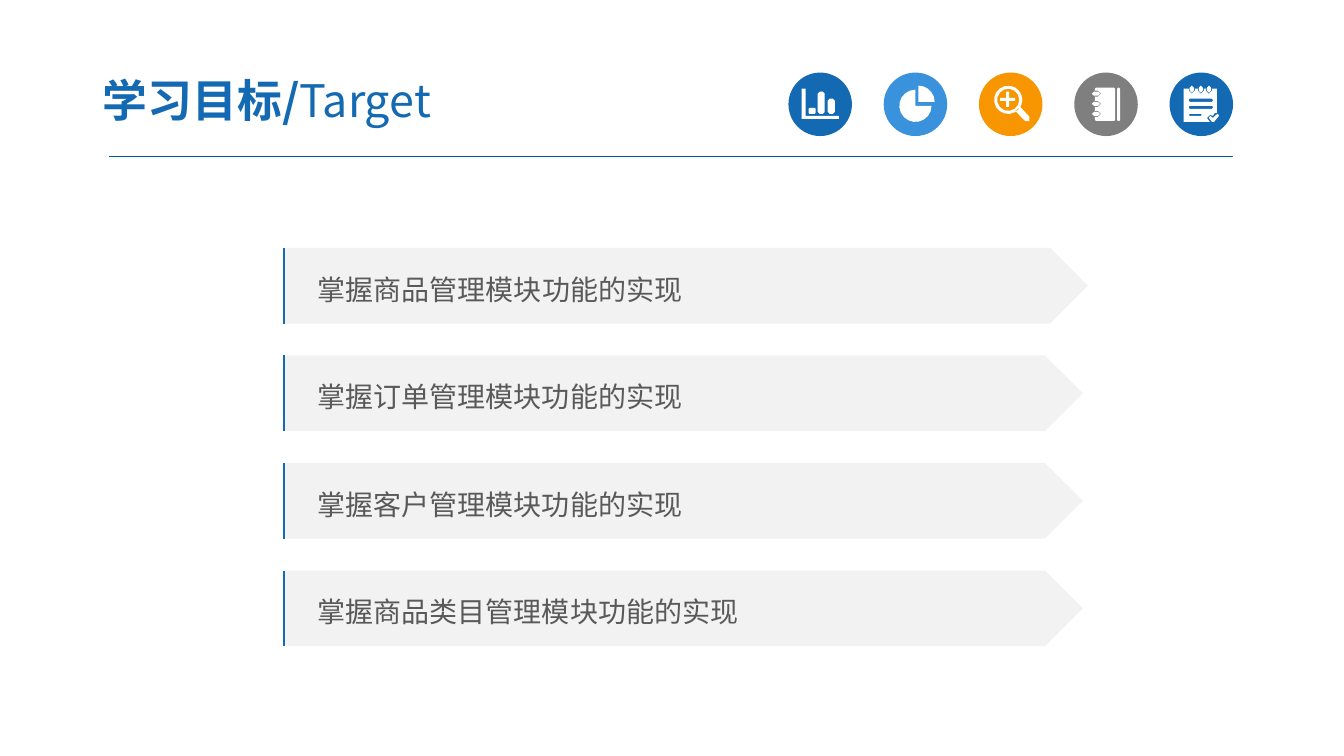
from math import cos, radians, sin

from lxml import etree
from pptx import Presentation
from pptx.dml.color import RGBColor
from pptx.enum.shapes import MSO_CONNECTOR as Connector, MSO_SHAPE as Shape
from pptx.enum.text import MSO_ANCHOR as Anchor, PP_ALIGN as Align
from pptx.oxml.ns import qn
from pptx.util import Inches, Pt

COLORS = {
    "blue": "1369B2",
    "sky": "3992DB",
    "orange": "F79600",
    "gray": "7F7F7F",
    "rule": "005B9E",
    "plate": "F2F2F2",
    "text": "595959",
    "white": "FFFFFF",
}
FONT = "Noto Sans CJK SC"


def arc(x, y, radius, start, end):
    """Return points along a circle; degrees run clockwise from the right."""
    steps = max(1, round(abs(end - start) * radius / 3))
    angles = [radians(start + (end - start) * i / steps) for i in range(steps + 1)]
    return [(x + radius * cos(a), y + radius * sin(a)) for a in angles]


def rounded(left, top, width, height, radius):
    """Return the outline of a rectangle with softened corners."""
    right, bottom = left + width - radius, top + height - radius
    left, top = left + radius, top + radius
    return (arc(left, top, radius, 180, 270) + arc(right, top, radius, 270, 360)
            + arc(right, bottom, radius, 0, 90) + arc(left, bottom, radius, 90, 180))


presentation = Presentation()
presentation.slide_width = Inches(13.33)
presentation.slide_height = Inches(7.5)
slide = presentation.slides.add_slide(presentation.slide_layouts[6])
shapes = slide.shapes

# Icon outlines: where two overlap, the inner one is a hole
bar_chart = [
    [(7.95, 0.88), (7.99, 0.88), (7.99, 1.15), (8.32, 1.15), (8.32, 1.18), (7.95, 1.18)],
    rounded(8.02, 1.07, 0.07, 0.06, 0.01),
    rounded(8.11, 0.91, 0.07, 0.22, 0.02),
    rounded(8.21, 0.98, 0.07, 0.15, 0.02),
]
pie_chart = [
    [(9.11, 1.01)] + arc(9.11, 1.01, 0.16, -90, 0),
    [(9.08, 1.05)] + arc(9.08, 1.05, 0.16, 0, 270),
]
magnifier = [
    arc(10, 0.99, 0.14, 0, 360),
    arc(10, 0.99, 0.11, 0, 360),
    [(9.92, 0.97), (9.98, 0.97), (9.98, 0.91), (10.01, 0.91), (10.01, 0.97), (10.07, 0.97),
     (10.07, 1), (10.01, 1), (10.01, 1.06), (9.98, 1.06), (9.98, 1), (9.92, 1)],
    [(10.07, 1.1)] + arc(10.19, 1.18, 0.03, 135, -45) + [(10.12, 1.06)],
]
notebook = [
    rounded(10.86, 0.87, 0.2, 0.33, 0.01),
    rounded(11.08, 0.87, 0.03, 0.33, 0.01),
]
for y in (0.93, 1.03, 1.13):
    notebook += [
        [(10.86, y - 0.03)] + arc(10.89, y, 0.03, -90, 90) + [(10.86, y + 0.03)],
        rounded(10.83, y - 0.02, 0.08, 0.04, 0.02),
    ]
checklist = [
    [(11.74, 0.88), (12.07, 0.88), (12.07, 1.12), (12.05, 1.12), (12.03, 1.15),
     (12, 1.14), (11.97, 1.17), (12, 1.21), (11.74, 1.21)],
    [(11.99, 1.17), (12, 1.15), (12.03, 1.17), (12.06, 1.14), (12.08, 1.13),
     (12.09, 1.15), (12.04, 1.21), (12.02, 1.21)],
    rounded(11.79, 0.98, 0.24, 0.03, 0.01),
    rounded(11.79, 1.05, 0.24, 0.03, 0.01),
    rounded(11.79, 1.13, 0.13, 0.02, 0.01),
]
for x in (11.82, 11.91, 11.99):
    checklist += [
        [(x + 0.03, 0.88)] + arc(x, 0.9, 0.03, 0, 180) + [(x - 0.03, 0.88)],
        rounded(x - 0.02, 0.85, 0.04, 0.07, 0.02),
    ]

icons = [(bar_chart, "blue"), (pie_chart, "sky"), (magnifier, "orange"),
         (notebook, "gray"), (checklist, "blue")]
filled = []
for index, (outlines, color) in enumerate(icons):
    disc = shapes.add_shape(Shape.OVAL, Inches(7.82 + 0.945 * index), Inches(0.72),
                            Inches(0.63), Inches(0.63))
    start_x, start_y = outlines[0][0]
    builder = shapes.build_freeform(Inches(start_x), Inches(start_y))
    for number, outline in enumerate(outlines):
        points = [(Inches(x), Inches(y)) for x, y in outline]
        if number > 0:
            builder.move_to(*points[0])
        builder.add_line_segments(points[1:], close=True)
    filled += [(disc, color), (builder.convert_to_shape(), "white")]

# Title
title = shapes.add_textbox(Inches(0.89), Inches(0.63), Inches(5.22), Inches(0.72))
title_format = {"word_wrap": True, "vertical_anchor": Anchor.MIDDLE,
                "margin_left": Inches(0.13), "margin_right": Inches(0.13),
                "margin_top": Inches(0.07), "margin_bottom": Inches(0.07)}
for name, value in title_format.items():
    setattr(title.text_frame, name, value)
heading = title.text_frame.paragraphs[0]
runs = [(heading, "学习目标/", "blue", {"size": Pt(32), "bold": True}),
        (heading, "Target", "blue", {"size": Pt(32), "bold": False})]

# Goals
lines = [(1.08, 1.55, 12.23, 1.55, "rule", 0.75)]
goals = ["掌握商品管理模块功能的实现", "掌握订单管理模块功能的实现",
         "掌握客户管理模块功能的实现", "掌握商品类目管理模块功能的实现"]
plate_format = {"word_wrap": True, "vertical_anchor": Anchor.MIDDLE,
                "margin_left": Inches(0.34)}
for index, goal in enumerate(goals):
    top = 2.46 + 3.2 / 3 * index
    width = 7.98 if index == 0 else 7.93
    plate = shapes.add_shape(Shape.PENTAGON, Inches(2.81), Inches(top),
                             Inches(width), Inches(0.75))
    for name, value in plate_format.items():
        setattr(plate.text_frame, name, value)
    paragraph = plate.text_frame.paragraphs[0]
    paragraph.alignment = Align.LEFT
    paragraph.line_spacing = 1.2
    filled.append((plate, "plate"))
    runs.append((paragraph, goal, "text", {"size": Pt(20), "bold": False}))
    lines.append((2.82, top, 2.82, top + 0.75, "blue", 1.5))

for shape, color in filled:
    shape.shadow.inherit = False
    shape.fill.solid()
    shape.fill.fore_color.rgb = RGBColor.from_string(COLORS[color])
    shape.line.fill.background()

for paragraph, text, color, font_format in runs:
    run = paragraph.add_run()
    run.text = text
    run.font.name = FONT
    run.font.color.rgb = RGBColor.from_string(COLORS[color])
    for name, value in font_format.items():
        setattr(run.font, name, value)
    etree.SubElement(run.font._element, qn("a:ea"), typeface=FONT)

for x1, y1, x2, y2, color, weight in lines:
    line = shapes.add_connector(Connector.STRAIGHT, Inches(x1), Inches(y1),
                                Inches(x2), Inches(y2))
    line.line.color.rgb = RGBColor.from_string(COLORS[color])
    line.line.width = Pt(weight)
    etree.SubElement(line._element.spPr, qn("a:effectLst"))

presentation.save("out.pptx")
